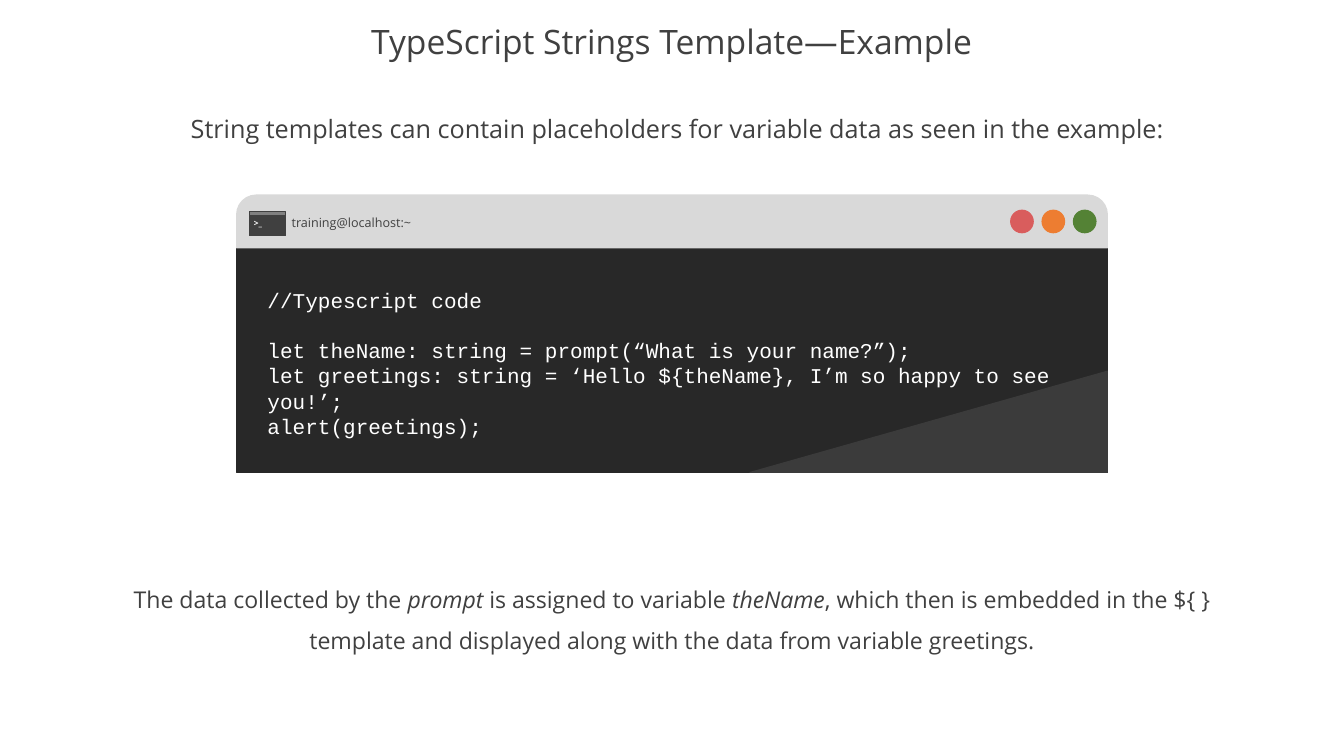
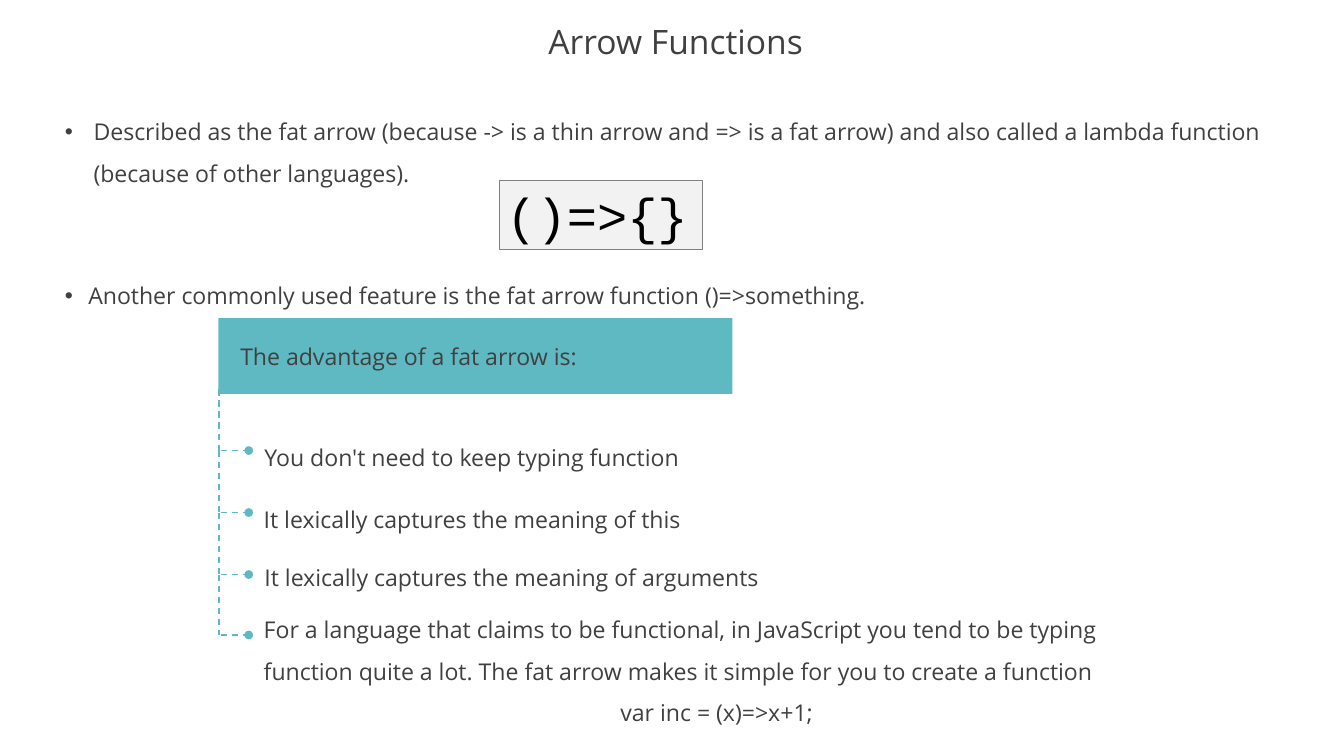
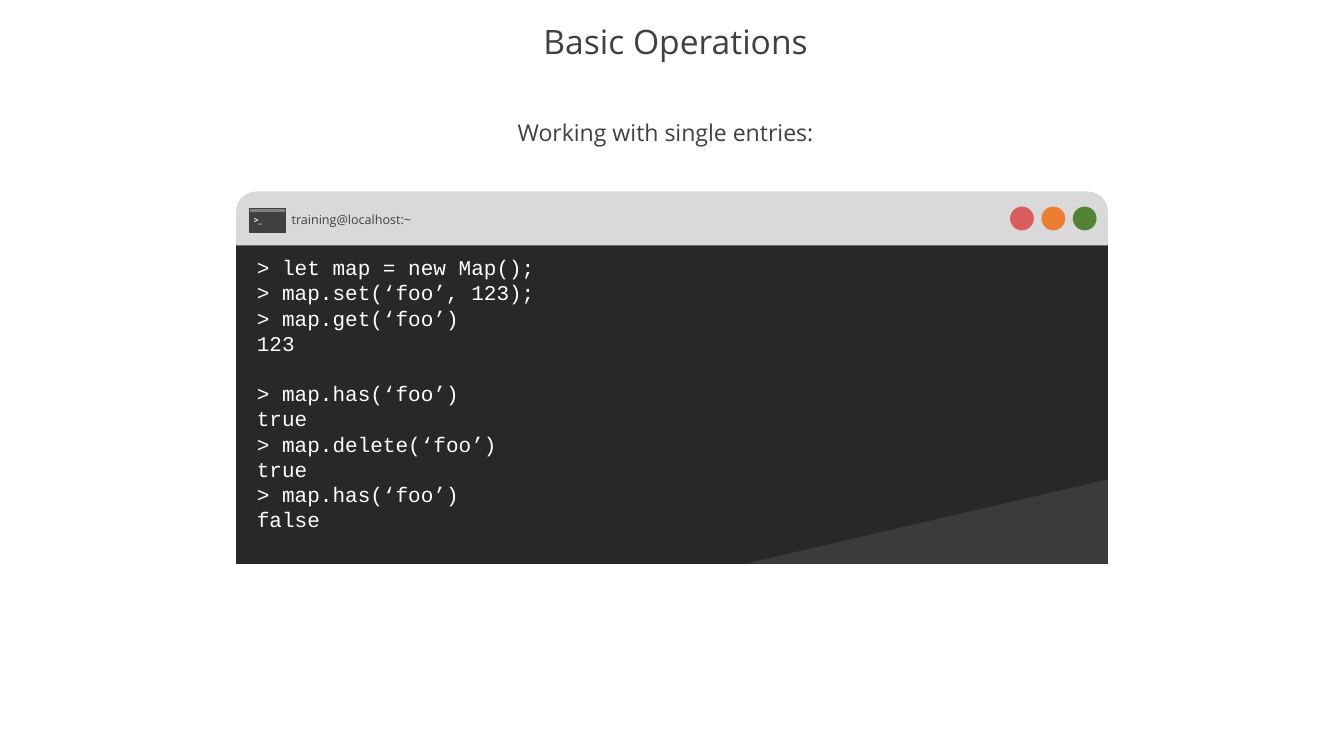
import pptx
import pptx.dml.color
import pptx.enum.dml
import pptx.enum.shapes
import pptx.enum.text
import pptx.util
from lxml import etree
from pptx.oxml.ns import qn
from pptx.util import Inches

SHAPES = pptx.enum.shapes.MSO_SHAPE
ALIGN = pptx.enum.text.PP_ALIGN
ANCHOR = pptx.enum.text.MSO_ANCHOR
FIT = pptx.enum.text.MSO_AUTO_SIZE

SLIDE_WIDTH, SLIDE_HEIGHT = 17.78, 10
BODY_FONT, CODE_FONT = "Open Sans", "Courier New"
INK, WHITE, BLACK = "404040", "FFFFFF", "000000"
TEAL, GRAY, PALE = "5EB9C2", "808080", "F2F2F2"
SCREEN, SCREEN_FOLD, WINDOW_BAR = "282828", "3B3B3B", "D9D9D9"
WINDOW_BUTTONS = ("D95D5D", "ED7D31", "548235")
WINDOW_LEFT, WINDOW_RIGHT, FOLD_LEFT = 3.13, 14.65, 9.92
CODE_LINE_HEIGHT = 24
BRANCH_LEFT, DOT_LEFT, DOT_SIZE = 2.9, 3.24, 0.1


def rgb(color):
    """Turn a hex string into a colour."""
    return pptx.dml.color.RGBColor.from_string(color)


def box(left, top, width, height):
    """Turn a position and size in inches into lengths."""
    return [Inches(value) for value in (left, top, width, height)]


def paint(shape, fill, line=None, weight=1):
    """Give a shape a flat fill, an outline and no shadow."""
    shape.shadow.inherit = False
    shape.fill.solid()
    shape.fill.fore_color.rgb = rgb(fill)
    if line:
        shape.line.color.rgb = rgb(line)
        shape.line.width = pptx.util.Pt(weight)
    else:
        shape.line.fill.background()


def add_block(shapes, kind, place, fill, line=None, weight=1):
    """Add a painted preset shape."""
    block = shapes.add_shape(kind, *box(*place))
    paint(block, fill, line, weight)
    return block


def write(frame, paragraphs, size=22, font=BODY_FONT, color=INK, bold=None,
          align=ALIGN.LEFT, spacing=None):
    """Write paragraphs, with the words between asterisks in italics."""
    for index, text in enumerate(paragraphs):
        paragraph = frame.add_paragraph() if index else frame.paragraphs[0]
        paragraph.alignment = align
        paragraph.line_spacing = spacing
        for part, words in enumerate(text.split("*")):
            run = paragraph.add_run()
            run.text = words
            run.font.name = font
            run.font.size = pptx.util.Pt(size)
            run.font.color.rgb = rgb(color)
            run.font.bold = bold
            run.font.italic = True if part % 2 else None


def add_text(shapes, place, paragraphs, wrap=True, anchor=ANCHOR.TOP, **style):
    """Add a text box that fits its text."""
    frame = shapes.add_textbox(*box(*place)).text_frame
    frame.word_wrap = wrap
    frame.auto_size = FIT.SHAPE_TO_FIT_TEXT
    frame.vertical_anchor = anchor
    write(frame, paragraphs, **style)
    return frame


def add_bullet(shapes, place, text, indent):
    """Add a text box with one hanging bullet."""
    frame = add_text(shapes, place, [text], spacing=1.5)
    properties = frame.paragraphs[0]._p.get_or_add_pPr()
    properties.set("marL", str(Inches(indent)))
    properties.set("indent", str(-Inches(indent)))
    etree.SubElement(properties, qn("a:buFont")).set("typeface", "Arial")
    etree.SubElement(properties, qn("a:buChar")).set("char", "•")


def add_titled_slide(deck, title, left_inset=0.1):
    """Add a title-only slide with its centred heading."""
    slide = deck.slides.add_slide(deck.slide_layouts[5])
    heading = slide.shapes.title
    heading.left, heading.top, heading.width, heading.height = box(
        0, 0.21, SLIDE_WIDTH, 0.73)
    frame = heading.text_frame
    frame.word_wrap = True
    frame.auto_size = FIT.NONE
    frame.vertical_anchor = ANCHOR.MIDDLE
    frame.margin_left = Inches(left_inset)
    frame.margin_right = frame.margin_top = frame.margin_bottom = 0
    write(frame, [title], size=32, align=ALIGN.CENTER, spacing=0.9)
    return slide


def add_terminal(slide, top, screen_height, fold_height, code_place, code_groups):
    """Add a terminal window showing groups of code lines."""
    shapes = slide.shapes.add_group_shape().shapes
    width = WINDOW_RIGHT - WINDOW_LEFT
    screen_top = top + 0.67
    bottom = screen_top + screen_height
    add_block(shapes, SHAPES.RECTANGLE,
              (WINDOW_LEFT, screen_top, width, screen_height), SCREEN, SCREEN)

    outline = shapes.build_freeform(Inches(WINDOW_RIGHT), Inches(bottom - fold_height))
    outline.add_line_segments([(Inches(WINDOW_RIGHT), Inches(bottom)),
                               (Inches(FOLD_LEFT), Inches(bottom))])
    paint(outline.convert_to_shape(), SCREEN_FOLD, SCREEN_FOLD)

    bar = add_block(shapes, SHAPES.ROUND_2_SAME_RECTANGLE,
                    (WINDOW_LEFT, top, width, 0.7), WINDOW_BAR, WINDOW_BAR)
    bar.adjustments[0] = 0.37
    for index, color in enumerate(WINDOW_BUTTONS):
        add_block(shapes, SHAPES.OVAL,
                  (13.37 + 0.415 * index, top + 0.2, 0.3, 0.3), color, color)
    add_text(shapes, (3.76, top + 0.22, 1.8, 0.3), ["training@localhost:~"],
             wrap=False, size=12)
    add_block(shapes, SHAPES.RECTANGLE, (3.3, top + 0.27, 0.48, 0.27), INK, INK)
    add_block(shapes, SHAPES.RECTANGLE, (3.3, top + 0.22, 0.48, 0.05), GRAY, INK)
    add_text(shapes, (3.26, top + 0.25, 0.31, 0.24), [">_"],
             wrap=False, size=8, color=WHITE, bold=True)

    lines = [line for group in code_groups for line in group]
    code = add_text(shapes, code_place, lines, size=20, font=CODE_FONT, color=WHITE)
    group_start = 0
    for group in code_groups[:-1]:
        group_start += len(group)
        code.paragraphs[group_start].space_before = pptx.util.Pt(CODE_LINE_HEIGHT)


def add_dashes(shapes, start, end):
    """Add a dashed teal line between two points."""
    dashes = shapes.add_connector(
        pptx.enum.shapes.MSO_CONNECTOR.STRAIGHT,
        *[Inches(value) for value in (*start, *end)])
    dashes.line.color.rgb = rgb(TEAL)
    dashes.line.width = pptx.util.Pt(1.5)
    dashes.line.dash_style = pptx.enum.dml.MSO_LINE.DASH
    etree.SubElement(dashes._element.spPr, qn("a:effectLst"))


def add_branch(slide, start, level):
    """Add a dashed branch that drops to a level and ends in a dot."""
    shapes = slide.shapes.add_group_shape().shapes
    add_dashes(shapes, (BRANCH_LEFT, start), (BRANCH_LEFT, level))
    add_dashes(shapes, (BRANCH_LEFT + 0.02, level), (DOT_LEFT, level))
    add_block(shapes, SHAPES.OVAL,
              (DOT_LEFT, level - DOT_SIZE / 2, DOT_SIZE, DOT_SIZE), TEAL, TEAL)


def build_string_templates(deck):
    """Build the slide on string templates."""
    slide = add_titled_slide(deck, "TypeScript Strings Template—Example", left_inset=0)
    intro = add_text(
        slide.shapes, (2.35, 1.54, 13.12, 0.36),
        ["String templates can contain placeholders for variable data as seen in the example:"],
        wrap=False, anchor=ANCHOR.MIDDLE, size=24, align=ALIGN.CENTER, spacing=0.9)
    intro.margin_left = Inches(0.1)
    intro.margin_right = intro.margin_top = intro.margin_bottom = 0
    add_text(
        slide.shapes, (1.24, 7.51, 15.3, 1.21),
        ["The data collected by the *prompt* is assigned to variable *theName*, which then is "
         "embedded in the ${ } template and displayed along with the data from variable greetings."],
        align=ALIGN.CENTER, spacing=1.5)
    add_terminal(slide, 2.58, 3, 1.34, (3.44, 3.75, 10.89, 2.15), [
        ["//Typescript code"],
        ["let theName: string = prompt(“What is your name?”);",
         "let greetings: string = ‘Hello ${theName}, I’m so happy to see you!’;",
         "alert(greetings);"],
    ])


def build_arrow_functions(deck):
    """Build the slide on arrow functions."""
    slide = add_titled_slide(deck, "Arrow Functions")
    shapes = slide.shapes
    add_bullet(shapes, (0.76, 1.32, 16.1, 1.15),
               "Described as the fat arrow (because -> is a thin arrow and => is a fat arrow) "
               "and also called a lambda function (because of other languages).", 0.38)
    add_bullet(shapes, (0.76, 3.49, 14.81, 0.6),
               "Another commonly used feature is the fat arrow function ()=>something.", 0.31)
    syntax = add_block(shapes, SHAPES.RECTANGLE, (6.6, 2.39, 2.69, 0.91), PALE, GRAY, 0.75)
    syntax.text_frame.vertical_anchor = ANCHOR.TOP
    write(syntax.text_frame, ["()=>{}"], size=48, font=CODE_FONT, color=BLACK)

    banner = shapes.add_group_shape().shapes
    add_block(banner, SHAPES.RECTANGLE, (2.89, 4.21, 6.8, 1), TEAL)
    add_text(banner, (3.08, 4.48, 4.71, 0.47), ["The advantage of a fat arrow is:"], wrap=False)

    start = 5.15
    for level in (5.96, 6.78, 7.6, 8.4):
        add_branch(slide, start, level)
        start = level

    advantages = (
        ((3.4, 5.66, 6.29, 0.6), "You don't need to keep typing function"),
        ((3.39, 6.48, 6.65, 0.6), "It lexically captures the meaning of this"),
        ((3.4, 7.25, 7.03, 0.6), "It lexically captures the meaning of arguments"),
    )
    for place, advantage in advantages:
        add_text(shapes, place, [advantage], anchor=ANCHOR.MIDDLE, spacing=1.5)
    brevity = add_text(
        shapes, (3.39, 7.9, 12.18, 1.77),
        ["For a language that claims to be functional, in JavaScript you tend to be typing function "
         "quite a lot. The fat arrow makes it simple for you to create a function",
         "var inc = (x)=>x+1;"],
        anchor=ANCHOR.MIDDLE, spacing=1.5)
    brevity.paragraphs[1].alignment = ALIGN.CENTER


def build_basic_operations(deck):
    """Build the slide on basic map operations."""
    slide = add_titled_slide(deck, "Basic Operations")
    add_text(slide.shapes, (6.75, 1.49, 4.33, 0.52), ["Working with single entries:"],
             anchor=ANCHOR.MIDDLE)
    add_terminal(slide, 2.54, 4.24, 1.1, (3.3, 3.32, 10.89, 3.8), [
        ["> let map = new Map();", "> map.set(‘foo’, 123);", "> map.get(‘foo’)", "123"],
        ["> map.has(‘foo’)", "true", "> map.delete(‘foo’)", "true",
         "> map.has(‘foo’)", "false"],
    ])


def main():
    """Build and save the three slides."""
    deck = pptx.Presentation()
    deck.slide_width, deck.slide_height = Inches(SLIDE_WIDTH), Inches(SLIDE_HEIGHT)
    build_string_templates(deck)
    build_arrow_functions(deck)
    build_basic_operations(deck)
    deck.save("out.pptx")


if __name__ == "__main__":
    main()
